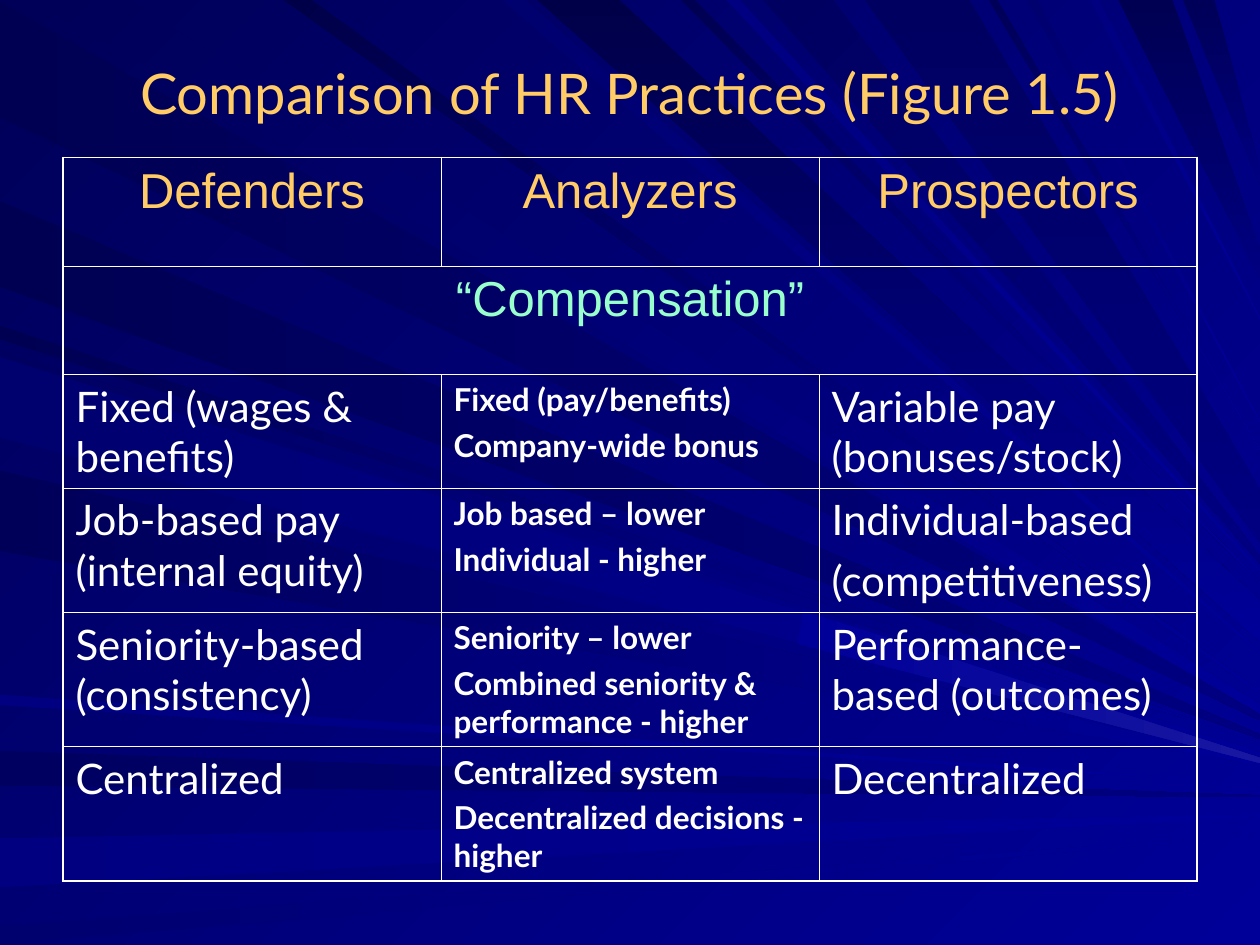
"""Build the slide that compares HR practices across three strategies."""
from lxml.etree import SubElement
from pptx import Presentation
from pptx.dml.color import RGBColor
from pptx.enum.text import MSO_ANCHOR, PP_ALIGN
from pptx.oxml.ns import qn
from pptx.util import Pt

COLORS = {
    "title": "FFCC66", "section": "99FFCC", "text": "FFFFFF", "border": "FFFFFF",
    "night": "000049", "deep": "000053", "base": "000058", "marine": "000061",
    "sea": "00006F", "azure": "000080", "blue": "000099", "beam": "1717A2",
}
WIDTH, HEIGHT = 720, 540

LEFT_RAYS = [
    ("deep", "azure", 1, 67, 410), ("marine", "azure", 429, 449, 455),
    ("azure", "blue", 479, 507, 466), ("sea", "blue", 529, 540, 477),
    ("deep", "blue", 186, 194, 424), ("deep", "azure", 115, 164, 421),
    ("marine", "blue", 200, 246, 431), ("base", "blue", 269, 315, 436),
    ("azure", "blue", 397, 403, 448), ("sea", "blue", 204, 250, 434),
]
TOP_RAYS = [
    ("base", "blue", 19, 73, 405), ("sea", "blue", 287, 300, 373),
    ("deep", "blue", 389, 397, 333), ("marine", "azure", 436, 476, 320),
    ("night", "blue", 162, 178, 396), ("azure", "blue", 415, 423, 326),
    ("base", "blue", 565, 570, 257), ("sea", "blue", 587, 593, 241),
    ("azure", "blue", 623, 628, 182),
]
BROAD_RAYS = [
    ("night", "blue", 307, 354, 355), ("deep", "azure", 639, 670, 151),
    ("base", "azure", 676, 694, 101), ("marine", "azure", 494, 554, 295),
]

STRATEGIES = ["Defenders", "Analyzers", "Prospectors"]
PRACTICES = [
    ["Fixed (wages & benefits)", "Fixed (pay/benefits)\nCompany-wide bonus", "Variable pay (bonuses/stock)"],
    ["Job-based pay (internal equity)", "Job based – lower\nIndividual - higher",
     "Individual-based\n(competitiveness)"],
    ["Seniority-based (consistency)", "Seniority – lower\nCombined seniority & performance - higher",
     "Performance-based (outcomes)"],
    ["Centralized", "Centralized system\nDecentralized decisions - higher", "Decentralized"],
]
ROW_HEIGHTS = [62, 62, 65, 71, 76.8, 76.8]
COLUMN_WIDTH = 216


def rgb(color):
    """Return the named colour."""
    return RGBColor.from_string(COLORS[color])


def paint(fill, start, end, angle):
    """Fill with a gradient turned clockwise by angle."""
    fill.gradient()
    fill.gradient_angle = -angle % 360
    for stop, color in zip(fill.gradient_stops, (start, end)):
        stop.color.rgb = rgb(color)


def add_ray(slide, start, end, angle, corners):
    """Draw one background ray as a closed outline."""
    points = [(Pt(x), Pt(y)) for x, y in corners]
    builder = slide.shapes.build_freeform(*points[0])
    builder.add_line_segments(points[1:], close=True)
    ray = builder.convert_to_shape()
    ray.shadow.inherit = False
    ray.line.fill.background()
    paint(ray.fill, start, end, angle)


def add_fan(slide, rays, from_top, angle, taper):
    """Draw rays that narrow from the top or left edge to the right edge."""
    for start, end, near, far, tip in rays:
        half_tip = (far - near) * taper / 2
        base = [(far, 0), (near, 0)] if from_top else [(0, near), (0, far)]
        add_ray(slide, start, end, angle, base + [(WIDTH, tip + half_tip), (WIDTH, tip - half_tip)])


def write(frame, text, font, size, color, align=PP_ALIGN.LEFT, bold=False):
    """Set the text of a frame and format its paragraphs and runs."""
    frame.text = text
    for index, paragraph in enumerate(frame.paragraphs):
        paragraph.alignment = align
        paragraph.space_before = Pt(size / 4 if index else 0)
        for run in paragraph.runs:
            run.font.name = font
            run.font.size = Pt(size)
            run.font.bold = bold
            run.font.color.rgb = rgb(color)


def add_title(slide, text):
    """Add the centred slide title."""
    title = slide.shapes.add_textbox(Pt(36), Pt(21.6), Pt(648), Pt(62))
    title.text_frame.word_wrap = True
    title.text_frame.vertical_anchor = MSO_ANCHOR.MIDDLE
    write(title.text_frame, text, "Lato", 32, "title", PP_ALIGN.CENTER)


def frame_cell(cell, outer_sides):
    """Give a cell clear fill and white borders, heavier on the outer sides."""
    properties = cell._tc.get_or_add_tcPr()
    for side in "LRTB":
        width = Pt(1.08 if side in outer_sides else 0.45)
        border = SubElement(properties, qn(f"a:ln{side}"), w=str(width))
        solid = SubElement(border, qn("a:solidFill"))
        SubElement(solid, qn("a:srgbClr"), val=COLORS["border"])
    cell.fill.background()


def add_comparison(slide):
    """Add the table of practices by strategy."""
    last_row, last_column = len(ROW_HEIGHTS) - 1, len(STRATEGIES) - 1
    table = slide.shapes.add_table(
        last_row + 1, last_column + 1, Pt(36), Pt(90),
        Pt(COLUMN_WIDTH * len(STRATEGIES)), Pt(sum(ROW_HEIGHTS))).table
    table.first_row = table.horz_banding = False
    for column in table.columns:
        column.width = Pt(COLUMN_WIDTH)
    for row, height in zip(table.rows, ROW_HEIGHTS):
        row.height = Pt(height)
    table.cell(1, 0).merge(table.cell(1, last_column))

    for r in range(last_row + 1):
        for c in range(last_column + 1):
            outer = {"L": c == 0, "R": c == last_column or r == 1, "T": r == 0, "B": r == last_row}
            frame_cell(table.cell(r, c), [side for side, is_outer in outer.items() if is_outer])

    for c, strategy in enumerate(STRATEGIES):
        write(table.cell(0, c).text_frame, strategy, "Arial", 28, "title", PP_ALIGN.CENTER)
    write(table.cell(1, 0).text_frame, "“Compensation”", "Arial", 28, "section", PP_ALIGN.CENTER)
    for r, practices in enumerate(PRACTICES, start=2):
        for c, practice in enumerate(practices):
            is_analyzer = c == 1
            write(table.cell(r, c).text_frame, practice, "Lato", 18 if is_analyzer else 24,
                  "text", bold=is_analyzer)


def main():
    """Build and save the slide."""
    deck = Presentation()
    deck.slide_width, deck.slide_height = Pt(WIDTH), Pt(HEIGHT)
    slide = deck.slides.add_slide(deck.slide_layouts[6])
    paint(slide.background.fill, "base", "blue", 45)
    add_fan(slide, LEFT_RAYS, from_top=False, angle=0, taper=0.05)
    add_fan(slide, TOP_RAYS, from_top=True, angle=45, taper=0.1)
    add_fan(slide, BROAD_RAYS, from_top=True, angle=90, taper=0.5)
    add_ray(slide, "blue", "beam", 0, [(WIDTH, 433), (459, 349), (456, 368), (WIDTH, 436)])
    add_title(slide, "Comparison of HR Practices (Figure 1.5)")
    add_comparison(slide)
    deck.save("out.pptx")


if __name__ == "__main__":
    main()
